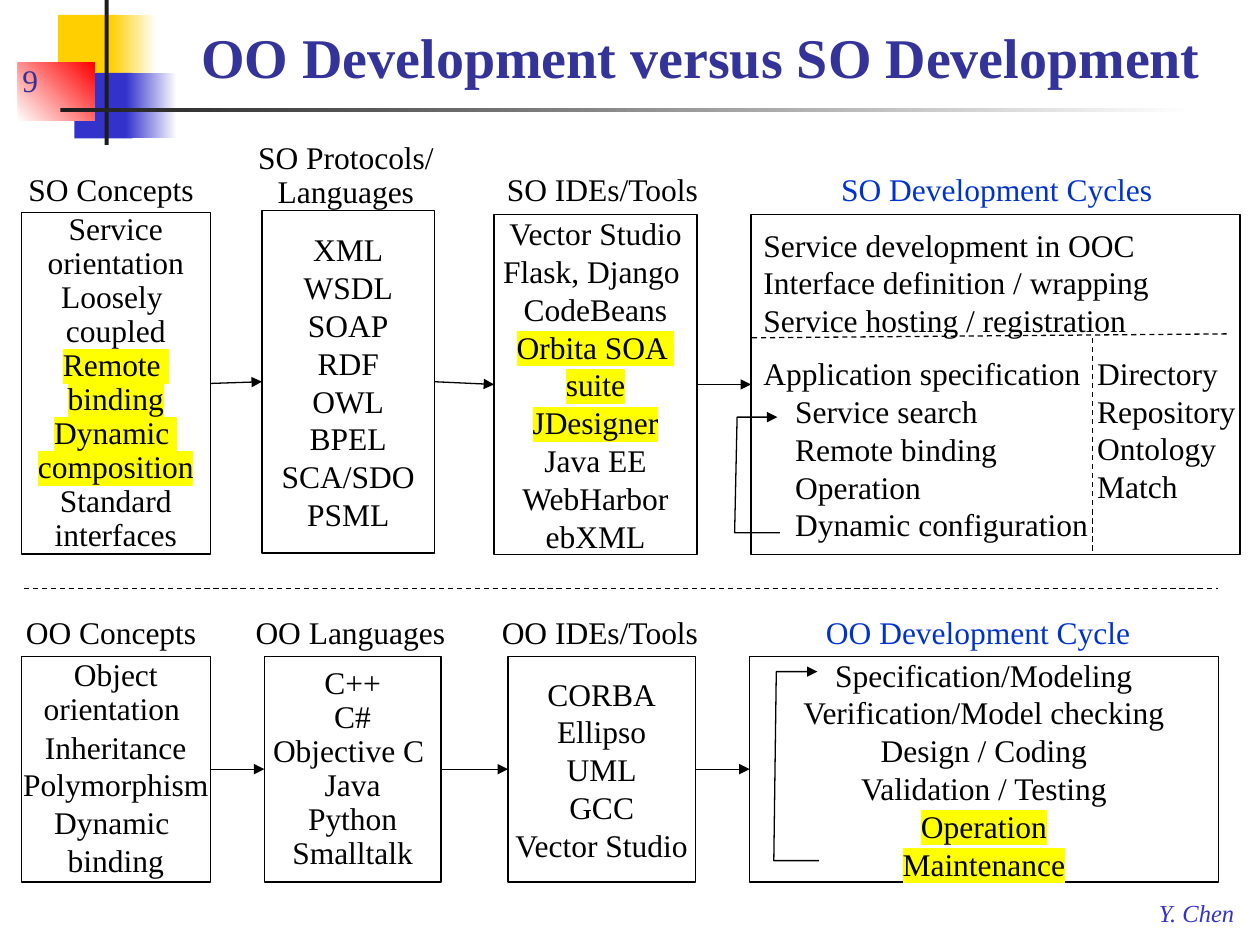
from dataclasses import dataclass
from itertools import pairwise
from lxml.etree import SubElement
from pptx import Presentation
from pptx.dml.color import RGBColor
from pptx.enum.dml import MSO_LINE
from pptx.enum.shapes import MSO_CONNECTOR, MSO_SHAPE
from pptx.enum.text import MSO_ANCHOR, PP_ALIGN
from pptx.oxml.ns import qn
from pptx.util import Cm, Pt


@dataclass(frozen=True)
class Theme:
    font: str = "Times New Roman"
    body: int = 18
    title: int = 32
    footer: int = 14
    stroke: float = 0.75
    black: str = "000000"
    white: str = "FFFFFF"
    ink: str = "1C1C1C"
    navy: str = "333399"
    blue: str = "3333CC"
    cycle: str = "0033CC"
    gold: str = "FFCF01"
    red: str = "FF0000"
    marker: str = "FFFF00"


@dataclass(frozen=True)
class Line:
    text: str
    spacing: float = 1.0
    marked: bool = False
    indent: float = 0


def lines(*texts, **formats):
    return [Line(text, **formats) for text in texts]


def assign(target, formats):
    for name, value in formats.items():
        setattr(target, name, value)


def lengths(values):
    return [Cm(value) for value in values]


class SlideBuilder:
    def __init__(self, slide, theme):
        self.slide = slide
        self.theme = theme

    def fill_text(self, frame, content, color=None, align=PP_ALIGN.LEFT, size=None,
                  bold=False, italic=False, **frame_formats):
        assign(frame, frame_formats)
        for index, line in enumerate(content):
            paragraph = frame.paragraphs[0] if index == 0 else frame.add_paragraph()
            assign(paragraph, {"alignment": align, "line_spacing": line.spacing})
            if line.indent:
                paragraph._p.get_or_add_pPr().set("marL", str(Cm(line.indent)))
            run = paragraph.add_run()
            run.text = line.text
            run.font.color.rgb = RGBColor.from_string(color or self.theme.black)
            if line.marked:
                highlight = SubElement(run._r.get_or_add_rPr(), qn("a:highlight"))
                SubElement(highlight, qn("a:srgbClr")).set("val", self.theme.marker)
            assign(run.font, {"name": self.theme.font, "size": Pt(size or self.theme.body),
                              "bold": bold, "italic": italic})

    def label(self, place, content, word_wrap=True, **formats):
        textbox = self.slide.shapes.add_textbox(*lengths(place))
        self.fill_text(textbox.text_frame, content, word_wrap=word_wrap, **formats)

    def rectangle(self, place):
        shape = self.slide.shapes.add_shape(MSO_SHAPE.RECTANGLE, *lengths(place))
        shape.shadow.inherit = False
        return shape

    def block(self, place, start, end=None, angle=0):
        shape = self.rectangle(place)
        shape.line.fill.background()
        if end is None:
            shape.fill.solid()
            shape.fill.fore_color.rgb = RGBColor.from_string(start)
            return
        shape.fill.gradient()
        shape.fill.gradient_angle = angle
        for stop, color, position in zip(shape.fill.gradient_stops, (start, end), (0, 1)):
            stop.color.rgb = RGBColor.from_string(color)
            stop.position = position

    def box(self, place, content, align=PP_ALIGN.CENTER, word_wrap=False):
        shape = self.rectangle(place)
        shape.fill.background()
        self.stroke(shape)
        self.fill_text(shape.text_frame, content, align=align, word_wrap=word_wrap,
                       vertical_anchor=MSO_ANCHOR.MIDDLE)
        return shape

    def stroke(self, shape, arrow=False, dashed=False):
        shape.line.color.rgb = RGBColor.from_string(self.theme.black)
        shape.line.width = Pt(self.theme.stroke)
        if dashed:
            shape.line.dash_style = MSO_LINE.DASH
        if arrow:
            SubElement(shape.line._get_or_add_ln(), qn("a:tailEnd")).set("type", "triangle")

    def connector(self, *ends, **formats):
        line = self.slide.shapes.add_connector(MSO_CONNECTOR.STRAIGHT, *lengths(ends))
        self.stroke(line, **formats)
        SubElement(line._element.spPr, qn("a:effectLst"))
        return line

    def chain(self, boxes):
        for source, target in pairwise(boxes):
            arrow = self.connector(0, 0, 1, 1, arrow=True)
            arrow.begin_connect(source, 3)
            arrow.end_connect(target, 1)

    def loop(self, *points):
        start, *rest = [tuple(lengths(point)) for point in points]
        builder = self.slide.shapes.build_freeform(*start)
        builder.add_line_segments(rest, close=False)
        shape = builder.convert_to_shape()
        shape.shadow.inherit = False
        shape.fill.background()
        self.stroke(shape, arrow=True)


def main():
    deck = Presentation()
    assign(deck, {"slide_width": Cm(25.4), "slide_height": Cm(19.05)})
    theme = Theme()
    page = SlideBuilder(deck.slides.add_slide(deck.slide_layouts[6]), theme)

    page.block((1.17, 0.3, 1.22, 1.32), theme.gold)
    page.block((2.24, 0.3, 0.91, 1.32), theme.gold, theme.white)
    page.block((1.5, 1.47, 1.17, 1.32), theme.blue)
    page.block((2.54, 1.47, 1.02, 1.32), theme.blue, theme.white)
    page.block((0.36, 1.27, 1.55, 1.17), theme.white, theme.red, angle=45)
    page.block((2.11, 0, 0.08, 2.92), theme.ink)
    page.block((1.22, 2.18, 22.86, 0.08), theme.ink, theme.white)

    page.label((23.11, 17.98, 2.08, 0.84), lines("Y. Chen"), word_wrap=False,
               color=theme.blue, size=theme.footer, italic=True)
    page.label((0.2, 0.84, 5.28, 1.27), lines("9"), color=theme.navy,
               vertical_anchor=MSO_ANCHOR.BOTTOM)
    page.label((3.81, 0.2, 21.39, 1.73), lines("OO Development versus SO Development"),
               color=theme.navy, size=theme.title, bold=True,
               vertical_anchor=MSO_ANCHOR.BOTTOM)

    so_top, oo_top, heading_height = 3.3, 12.24, 1.02
    headings = [
        ("SO Concepts", -0.2, so_top, 4.88, theme.black),
        ("SO IDEs/Tools", 9.68, so_top, 4.93, theme.black),
        ("SO Development Cycles", 16.3, so_top, 7.59, theme.cycle),
        ("OO Concepts", -0.2, oo_top, 4.88, theme.black),
        ("OO Languages", 4.65, oo_top, 4.83, theme.black),
        ("OO IDEs/Tools", 9.58, oo_top, 5.03, theme.black),
        ("OO Development Cycle", 16, oo_top, 7.44, theme.cycle),
    ]
    for text, left, top, width, color in headings:
        page.label((left, top, width, heading_height), lines(text), color=color,
                   align=PP_ALIGN.CENTER)
    page.label((3.38, 2.74, 7.19, 1.65), lines("SO Protocols/", "Languages", spacing=0.9),
               align=PP_ALIGN.CENTER)

    so_concepts = page.box(
        (0.43, 4.29, 3.81, 6.88),
        lines("Service", "orientation", "Loosely ", "coupled", spacing=0.9)
        + lines("Remote ", "binding", "Dynamic ", "composition", spacing=0.9, marked=True)
        + lines("Standard", "interfaces", spacing=0.9))
    so_protocols = page.box(
        (5.28, 4.24, 3.48, 6.91),
        lines("XML", "WSDL", "SOAP", "RDF", "OWL", "BPEL", "SCA/SDO", "PSML"))
    so_tools = page.box(
        (9.96, 4.32, 4.09, 6.86),
        lines("Vector Studio", "Flask, Django ", "CodeBeans")
        + lines("Orbita SOA ", "suite", "JDesigner", marked=True)
        + lines("Java EE", "WebHarbor", "ebXML"))
    so_cycles = page.box(
        (15.14, 4.32, 9.86, 6.86),
        lines("Service development in OOC", "Interface definition / wrapping",
              "Service hosting / registration")
        + lines("Application specification", spacing=1.4)
        + lines("Service search", "Remote binding", "Operation", "Dynamic configuration",
                indent=0.64),
        align=PP_ALIGN.LEFT, word_wrap=True)
    page.chain([so_concepts, so_protocols, so_tools, so_cycles])
    page.label((21.87, 7.01, 3.45, 3.33),
               lines("Directory", "Repository", "Ontology", "Match"))
    page.connector(15.16, 6.81, 24.77, 6.73, dashed=True)
    page.connector(22.02, 6.81, 22.02, 11.18, dashed=True)
    page.loop((15.72, 10.74), (14.81, 10.74), (14.86, 8.41), (15.67, 8.41))

    page.connector(0.48, 11.86, 24.56, 11.86, dashed=True)

    oo_row = [
        (0.43, 3.81, lines("Object", "orientation ", spacing=0.9)
         + lines("Inheritance", "Polymorphism", "Dynamic ", "binding")),
        (5.33, 3.56, lines("C++", "C#", "Objective C ", "Java", "Python", "Smalltalk",
                           spacing=0.9)),
        (10.24, 3.78, lines("CORBA", "Ellipso", "UML", "GCC", "Vector Studio")),
        (15.11, 9.45, lines("Specification/Modeling", "Verification/Model checking",
                            "Design / Coding", "Validation / Testing")
         + lines("Operation", "Maintenance", marked=True)),
    ]
    page.chain([page.box((left, 13.23, width, 4.55), content)
                for left, width, content in oo_row])
    page.loop((16.51, 17.35), (15.6, 17.35), (15.65, 13.54), (16.48, 13.54))

    deck.save("out.pptx")


if __name__ == "__main__":
    main()
